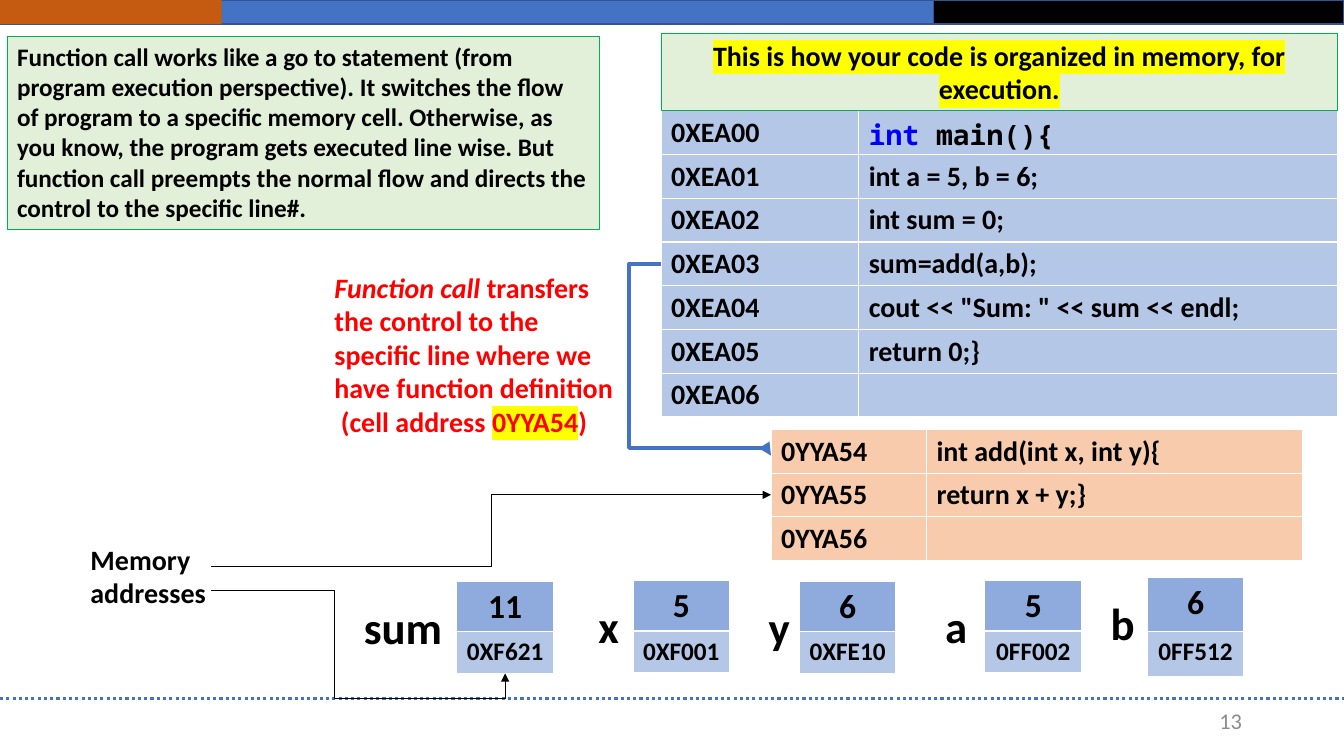
import pptx
import pptx.dml.color
import pptx.enum.dml
import pptx.enum.shapes
import pptx.enum.text
import pptx.oxml
import pptx.oxml.ns
import pptx.util
from pptx.util import Cm

ALIGN = pptx.enum.text.PP_ALIGN
ANCHOR = pptx.enum.text.MSO_ANCHOR
CONNECTOR = pptx.enum.shapes.MSO_CONNECTOR
RECTANGLE = pptx.enum.shapes.MSO_SHAPE.RECTANGLE
WIDTH, HEIGHT = 33.87, 19.05
BLUE, PALE_BLUE, MID_BLUE = "4472C4", "B4C7E7", "8FAADC"
YELLOW = "FFFF00"


def rgb(value):
    return pptx.dml.color.RGBColor.from_string(value)


def element(tag, **attributes):
    el = pptx.oxml.parse_xml(f"<a:{tag} {pptx.oxml.ns.nsdecls('a')}/>")
    for name, value in attributes.items():
        el.set(name, value)
    return el


def write(p, text, size=20, color="000000", bold=True, italic=False,
          font="Calibri", highlight=None):
    r = p.add_run()
    r.text = text
    f = r.font
    f.size, f.bold, f.italic, f.name = pptx.util.Pt(size), bold, italic, font
    f.color.rgb = rgb(color)
    if highlight:
        mark = element("highlight")
        mark.append(element("srgbClr", val=highlight))
        r._r.rPr.find(pptx.oxml.ns.qn("a:solidFill")).addnext(mark)


def text_box(slide, x, y, w, h):
    tf = slide.shapes.add_textbox(Cm(x), Cm(y), Cm(w), Cm(h)).text_frame
    tf.word_wrap = True
    return tf


def rectangle(slide, x, y, w, h, fill, line=None, weight=1):
    sp = slide.shapes.add_shape(RECTANGLE, Cm(x), Cm(y), Cm(w), Cm(h))
    sp.shadow.inherit = False
    sp.fill.solid()
    sp.fill.fore_color.rgb = rgb(fill)
    if line:
        sp.line.color.rgb = rgb(line)
        sp.line.width = pptx.util.Pt(weight)
    else:
        sp.line.fill.background()
    return sp


def connector(slide, kind, start, end, color, weight):
    cx = slide.shapes.add_connector(kind, *map(Cm, start + end))
    cx.line.color.rgb = rgb(color)
    cx.line.width = pptx.util.Pt(weight)
    cx._element.spPr.append(element("effectLst"))
    return cx


def elbow_arrow(slide, start, end, color, weight, bends):
    """Bends are fractions of the width and height, taken in turn."""
    cx = connector(slide, CONNECTOR.ELBOW, start, end, color, weight)
    cx.line._get_or_add_ln().append(element("tailEnd", type="triangle"))
    geometry = cx._element.spPr.prstGeom
    geometry.set("prst", f"bentConnector{len(bends) + 2}")
    guides = geometry.get_or_add_avLst()
    for i, bend in enumerate(bends, 1):
        guides.append(element("gd", name=f"adj{i}", fmla=f"val {round(bend * 100000)}"))


def table(slide, x, y, widths, heights):
    frame = slide.shapes.add_table(len(heights), len(widths), Cm(x), Cm(y),
                                   Cm(sum(widths)), Cm(sum(heights)))
    for column, w in zip(frame.table.columns, widths):
        column.width = Cm(w)
    for row, h in zip(frame.table.rows, heights):
        row.height = Cm(h)
    return frame.table


def fill_cell(cell, fill, runs, align=ALIGN.LEFT):
    cell.fill.solid()
    cell.fill.fore_color.rgb = rgb(fill)
    p = cell.text_frame.paragraphs[0]
    p.alignment = align
    for text, style in runs:
        write(p, text, **style)


def page_frame(slide, number):
    bar, split = 0.61, 23.52
    rectangle(slide, 0, 0, split, bar, BLUE, "325491")
    rectangle(slide, split, 0, WIDTH - split, bar, "000000", "325491")
    rectangle(slide, 0, 0, 5.59, bar, "C55A11")
    rule = connector(slide, CONNECTOR.STRAIGHT, (0, 17.6), (WIDTH, 17.6), BLUE, 2.25)
    rule.line.dash_style = pptx.enum.dml.MSO_LINE.ROUND_DOT
    tf = text_box(slide, 23.93, 17.65, 7.62, 1.02)
    tf.vertical_anchor = ANCHOR.MIDDLE
    tf.paragraphs[0].alignment = ALIGN.RIGHT
    write(tf.paragraphs[0], number, size=16, color="8C8C8C", bold=False)


def variable(slide, x, y, name, value, address, label_gap, heights=(1.27, 1.04)):
    """A value above its address, with the variable's name to the left."""
    t = table(slide, x, y, [2.44], heights)
    fill_cell(t.cell(0, 0), MID_BLUE, [(value, {"size": 24})], ALIGN.CENTER)
    fill_cell(t.cell(1, 0), PALE_BLUE, [(address, {"size": 18})], ALIGN.CENTER)
    tf = text_box(slide, x - label_gap, y + 0.34, 3.48 if len(name) > 1 else 2, 1.62)
    write(tf.paragraphs[0], name, size=32)


def code_table(slide, x, y, widths, row_height, fill, prefix, first, lines):
    """Each line of code is a list of runs, next to its consecutive address."""
    t = table(slide, x, y, widths, [row_height] * len(lines))
    for i, runs in enumerate(lines):
        fill_cell(t.cell(i, 0), fill, [(f"{prefix}{first + i:02d}", {})])
        fill_cell(t.cell(i, 1), fill, runs)


def note(slide, x, y, w, h, text, align=ALIGN.LEFT, **style):
    sp = rectangle(slide, x, y, w, h, "E2F0D9", "00B050", 0.75)
    tf = sp.text_frame
    tf.word_wrap = True
    tf.vertical_anchor = ANCHOR.TOP
    tf.paragraphs[0].alignment = align
    write(tf.paragraphs[0], text, **style)


def call_remark(slide, x, y, w, h):
    tf = text_box(slide, x, y, w, h)
    p, red = tf.paragraphs[0], "FF0000"
    write(p, "Function call", color=red, italic=True)
    write(p, " transfers the control to the specific line where we have "
             "function definition", color=red)
    p = tf.add_paragraph()
    write(p, " (cell address ", color=red)
    write(p, "0YYA54", color=red, highlight=YELLOW)
    write(p, ")", color=red)


def memory_slide(prs):
    slide = prs.slides.add_slide(prs.slide_layouts[6])
    page_frame(slide, "13")

    variable(slide, 15.95, 14.63, "x", "5", "0XF001", 1.12)
    variable(slide, 20.14, 14.65, "y", "6", "0XFE10", 1.02)
    variable(slide, 24.82, 14.63, "a", "5", "0FF002", 1.25)
    variable(slide, 28.91, 14.55, "b", "6", "0FF512", 1.17, (1.37, 1.12))
    variable(slide, 11.51, 14.65, "sum", "11", "0XF621", 2.59)

    mono = {"font": "Noto Sans Mono"}
    main_lines = [[("int", {**mono, "color": "0000FF"}), (" main(){", mono)]]
    main_lines += [[(code, {})] for code in (
        "int a = 5, b = 6;", "int sum = 0;", "sum=add(a,b);",
        'cout << "Sum: " << sum << endl;', "return 0;}")] + [[]]
    add_lines = [[("int add(int x, int y){", {})], [("return x + y;}", {})], []]
    main_x, add_x = 16.66, 19.43
    code_table(slide, main_x, 2.79, [4.98, 12.07], 1.1, PALE_BLUE, "0XEA", 0, main_lines)
    code_table(slide, add_x, 10.82, [3.92, 9.48], 1.1, "F8CBAD", "0YYA", 54, add_lines)

    note(slide, main_x, 0.84, 17.05, 1.95,
         "This is how your code is organized in memory, for execution.",
         ALIGN.CENTER, highlight=YELLOW)
    elbow_arrow(slide, (main_x, 6.65), (add_x, 11.48), BLUE, 3, [-0.29, 0.96])
    note(slide, 0.18, 0.91, 14.94, 4.88,
         "Function call works like a go to statement (from program execution "
         "perspective). It switches the flow of program to a specific memory cell. "
         "Otherwise, as you know, the program gets executed line wise. But function "
         "call preempts the normal flow and directs the control to the specific line#.",
         size=18)
    call_remark(slide, 8.18, 6.68, 7.77, 4.52)
    elbow_arrow(slide, (5.33, 14.88), (12.73, 16.97), "000000", 0.5, [0.42, 1.3])
    elbow_arrow(slide, (5.33, 14.27), (add_x, 12.47), "000000", 0.5, [0.5])
    tf = text_box(slide, 2.03, 13.54, 4.22, 1.96)
    write(tf.paragraphs[0], "Memory addresses")


def main():
    prs = pptx.Presentation()
    prs.slide_width, prs.slide_height = Cm(WIDTH), Cm(HEIGHT)
    memory_slide(prs)
    prs.save("out.pptx")


if __name__ == "__main__":
    main()
